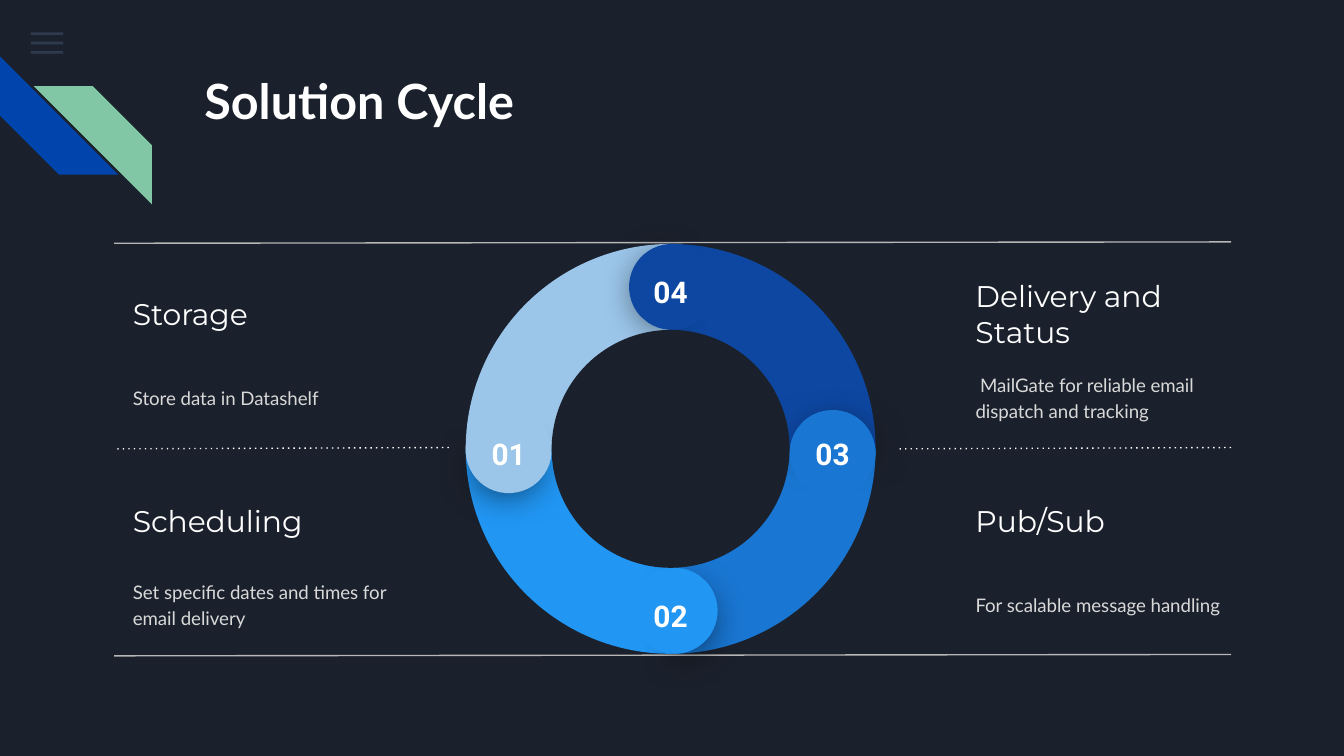
from lxml import etree
from pptx import Presentation
from pptx.dml.color import RGBColor
from pptx.enum.dml import MSO_LINE
from pptx.enum.shapes import MSO_CONNECTOR, MSO_SHAPE
from pptx.enum.text import MSO_ANCHOR, PP_ALIGN
from pptx.oxml.ns import qn
from pptx.util import Inches, Pt

TOP, MIDDLE = MSO_ANCHOR.TOP, MSO_ANCHOR.MIDDLE
LEFT, CENTER = PP_ALIGN.LEFT, PP_ALIGN.CENTER
STRAIGHT = MSO_CONNECTOR.STRAIGHT
ROUND_DOT = MSO_LINE.ROUND_DOT
RECTANGLE, STRIPE = MSO_SHAPE.RECTANGLE, MSO_SHAPE.DIAGONAL_STRIPE
PIE, CHORD, OVAL = MSO_SHAPE.PIE, MSO_SHAPE.CHORD, MSO_SHAPE.OVAL

TITLE = "Solution Cycle"
STEPS = [
    ("Storage", "Store data in Datashelf", 0.89, 2.09),
    ("Scheduling", "Set specific dates and times for email delivery", 0.89, 3.63),
    ("Delivery and Status", " MailGate for reliable email dispatch and tracking", 7.16, 2.09),
    ("Pub/Sub", "For scalable message handling", 7.16, 3.63),
]
HALF_CAP = (189.54, 83.81)
SEGMENTS = [
    ("01", "9BC5E9", (-1, 0), (0, 0.01), HALF_CAP),
    ("02", "2196F3", (0, 1), (0.03, 0), HALF_CAP),
    ("03", "1976D2", (1, 0), (0, 0.03), (196.87, 77.71)),
    ("04", "0D47A1", (0, -1), (0.01, 0), HALF_CAP),
]
RULES = [
    (0.85, 9.16, 1.81, "rule", False),
    (0.85, 3.34, 3.34, "white", True),
    (6.67, 9.16, 3.34, "white", True),
    (0.85, 9.16, 4.88, "rule", False),
]
THEME = {
    "colors": {"background": "1B212C", "white": "FFFFFF", "rule": "B7B7B7",
               "menu": "55688B", "blue": "0145AC", "green": "82C7A5"},
    "title": {"name": "Lato", "size": Pt(26), "bold": True, "color": "FFFFFF"},
    "heading": {"name": "Montserrat", "size": Pt(16), "bold": False, "color": "FFFFFF"},
    "body": {"name": "Lato", "size": Pt(10), "bold": False, "color": "D9D9D9"},
    "number": {"name": "Roboto", "size": Pt(16), "bold": True, "color": "FFFFFF"},
}
COLORS = THEME["colors"]
RING_CENTER = (4.99, 3.34)
RING_SIZE, HOLE_SIZE = 3.05, 1.77
BAND = (RING_SIZE - HOLE_SIZE) / 2
CAP_RADIUS = (RING_SIZE - BAND) / 2
SHADOW_CAP = 0.57


def set_attributes(target, values):
    for name, value in values.items():
        setattr(target, name, value)


def fill_text(shape, text, style, anchor=TOP, align=LEFT, **spacing):
    frame = shape.text_frame
    margin = Inches(0.1)
    set_attributes(frame, {"word_wrap": True, "vertical_anchor": anchor,
                           "margin_left": margin, "margin_right": margin,
                           "margin_top": margin, "margin_bottom": margin})
    paragraph = frame.paragraphs[0]
    set_attributes(paragraph, {"alignment": align, **spacing})
    run = paragraph.add_run()
    run.text = text
    values = dict(THEME[style])
    run.font.color.rgb = RGBColor.from_string(values.pop("color"))
    set_attributes(run.font, values)


def add_text(slide, box, text, style, **options):
    shape = slide.shapes.add_textbox(*map(Inches, box))
    fill_text(shape, text, style, **options)


def add_filled(slide, kind, box, color, rotation=0, adjustments=()):
    shape = slide.shapes.add_shape(kind, *map(Inches, box))
    shape.fill.solid()
    shape.fill.fore_color.rgb = RGBColor.from_string(color)
    shape.line.fill.background()
    shape.shadow.inherit = False
    shape.rotation = rotation % 360
    for index, value in enumerate(adjustments):
        shape.adjustments[index] = value
    return shape


def square_at(center, size):
    return center[0] - size / 2, center[1] - size / 2, size, size


def ring_point(direction, radius, shift=(0, 0)):
    return tuple(middle + radius * step + extra
                 for middle, step, extra in zip(RING_CENTER, direction, shift))


def set_alpha(color_element, percent):
    etree.SubElement(color_element, qn("a:alpha")).set("val", str(percent * 1000))


def add_shadow(shape):
    effects = shape.element.spPr.find(qn("a:effectLst"))
    shadow = etree.SubElement(effects, qn("a:outerShdw"))
    values = {"blurRad": Pt(18), "dist": Pt(4), "dir": 90 * 60000}
    for name, value in values.items():
        shadow.set(name, str(int(value)))
    shadow.set("algn", "bl")
    shadow.set("rotWithShape", "0")
    color = etree.SubElement(shadow, qn("a:srgbClr"))
    color.set("val", "000000")
    set_alpha(color, 55)


def add_decoration(slide):
    for row in range(3):
        bar = add_filled(slide, RECTANGLE, (0.23, 0.24 + 0.07 * row, 0.24, 0.02), COLORS["menu"])
        set_alpha(bar.element.spPr.find(f".//{qn('a:srgbClr')}"), 36)
    add_filled(slide, STRIPE, (0, 0.42, 0.88, 0.88), COLORS["blue"], 270, [0.5])
    green = add_filled(slide, STRIPE, (0.25, 0.64, 0.88, 0.88), COLORS["green"], 0, [0.5])
    green.element.spPr.find(qn("a:xfrm")).set("flipH", "1")


def add_title(slide):
    title = slide.shapes.title
    places = zip(("left", "top", "width", "height"), (1.42, 0.43, 7.7, 1))
    set_attributes(title, {name: Inches(value) for name, value in places})
    fill_text(title, TITLE, "title", line_spacing=1.0)


def add_steps(slide):
    for heading, body, left, top in STEPS:
        add_text(slide, (left, top, 2.03, 0.49), heading, "heading", anchor=MIDDLE)
        add_text(slide, (left, top + 0.48, 2.18, 0.76), body, "body", anchor=MIDDLE,
                 line_spacing=1.15, space_after=Pt(16))


def add_rules(slide):
    for start, end, y, color, dotted in RULES:
        rule = slide.shapes.add_connector(
            STRAIGHT, Inches(end), Inches(y - 0.01), Inches(start), Inches(y))
        rule.line.color.rgb = RGBColor.from_string(COLORS[color])
        rule.line.width = Pt(0.75)
        properties = rule._element.spPr
        if dotted:
            rule.line.dash_style = ROUND_DOT
            properties.find(f".//{qn('a:prstDash')}").set("val", "dot")
        etree.SubElement(properties, qn("a:effectLst"))


def add_ring(slide):
    for index, (_, color, *_) in enumerate(SEGMENTS):
        add_filled(slide, PIE, square_at(RING_CENTER, RING_SIZE), color,
                   -90 * index, [107.96, 162.01])
    for index, (number, color, direction, shift, half_cap) in enumerate(SEGMENTS):
        turn = -90 * index
        half_center = ring_point(direction, CAP_RADIUS + 0.02, shift)
        half = add_filled(slide, PIE, square_at(half_center, SHADOW_CAP), color,
                          39.5 + turn, half_cap)
        add_shadow(half)
        add_filled(slide, CHORD, square_at(ring_point(direction, CAP_RADIUS, shift), BAND),
                   color, 4.1 + turn, [25.01, 18.12])
        center_x, center_y = ring_point(direction, CAP_RADIUS)
        add_text(slide, (center_x - 0.28, center_y - 0.2, 0.56, 0.29), number, "number",
                 align=CENTER)
    add_filled(slide, OVAL, square_at(RING_CENTER, HOLE_SIZE), COLORS["background"])


def main():
    presentation = Presentation()
    width = Inches(10)
    presentation.slide_width, presentation.slide_height = width, width * 9 // 16
    slide = presentation.slides.add_slide(presentation.slide_layouts[5])
    slide.background.fill.solid()
    slide.background.fill.fore_color.rgb = RGBColor.from_string(COLORS["background"])
    add_decoration(slide)
    add_title(slide)
    add_steps(slide)
    add_rules(slide)
    add_ring(slide)
    presentation.save("out.pptx")


if __name__ == "__main__":
    main()
